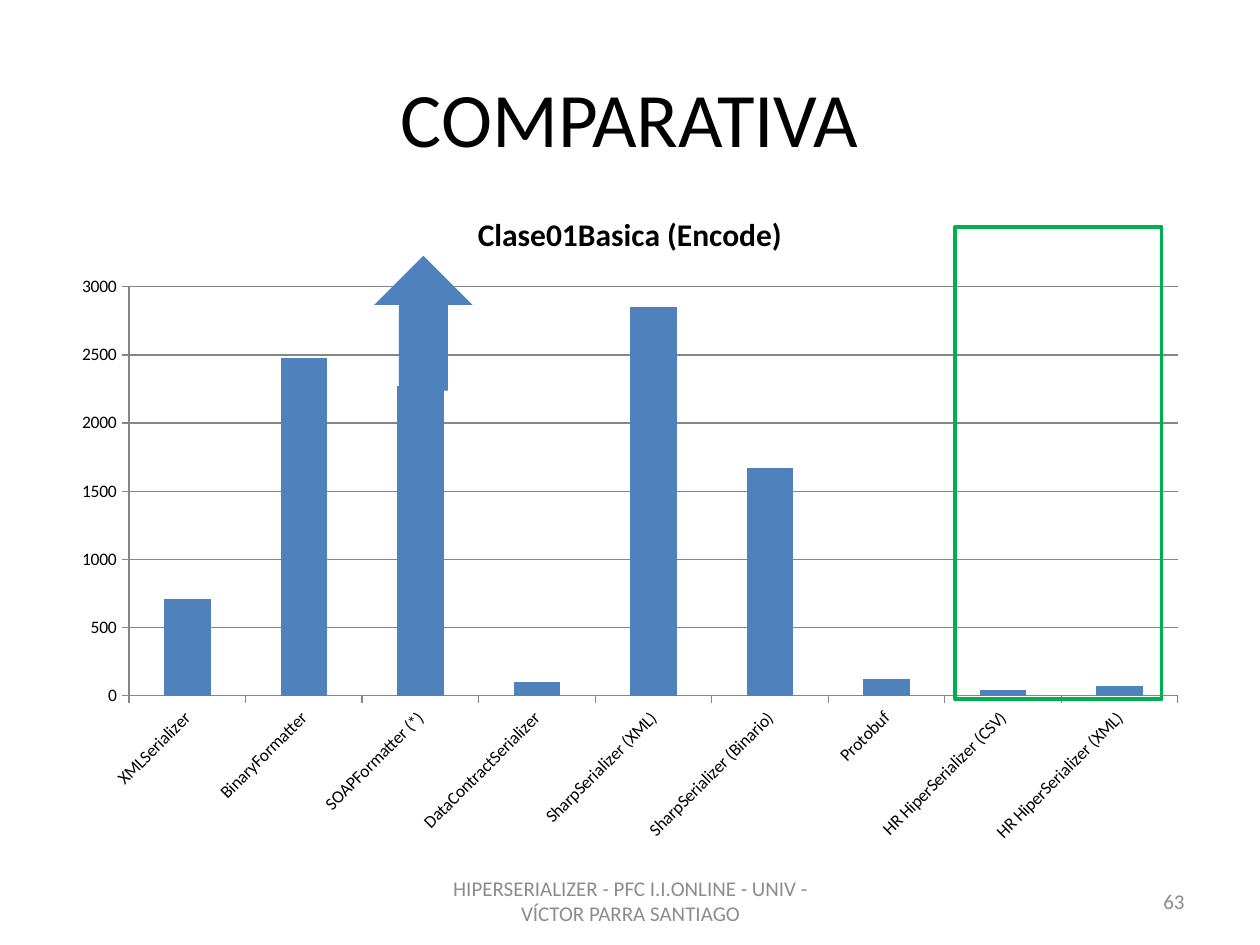
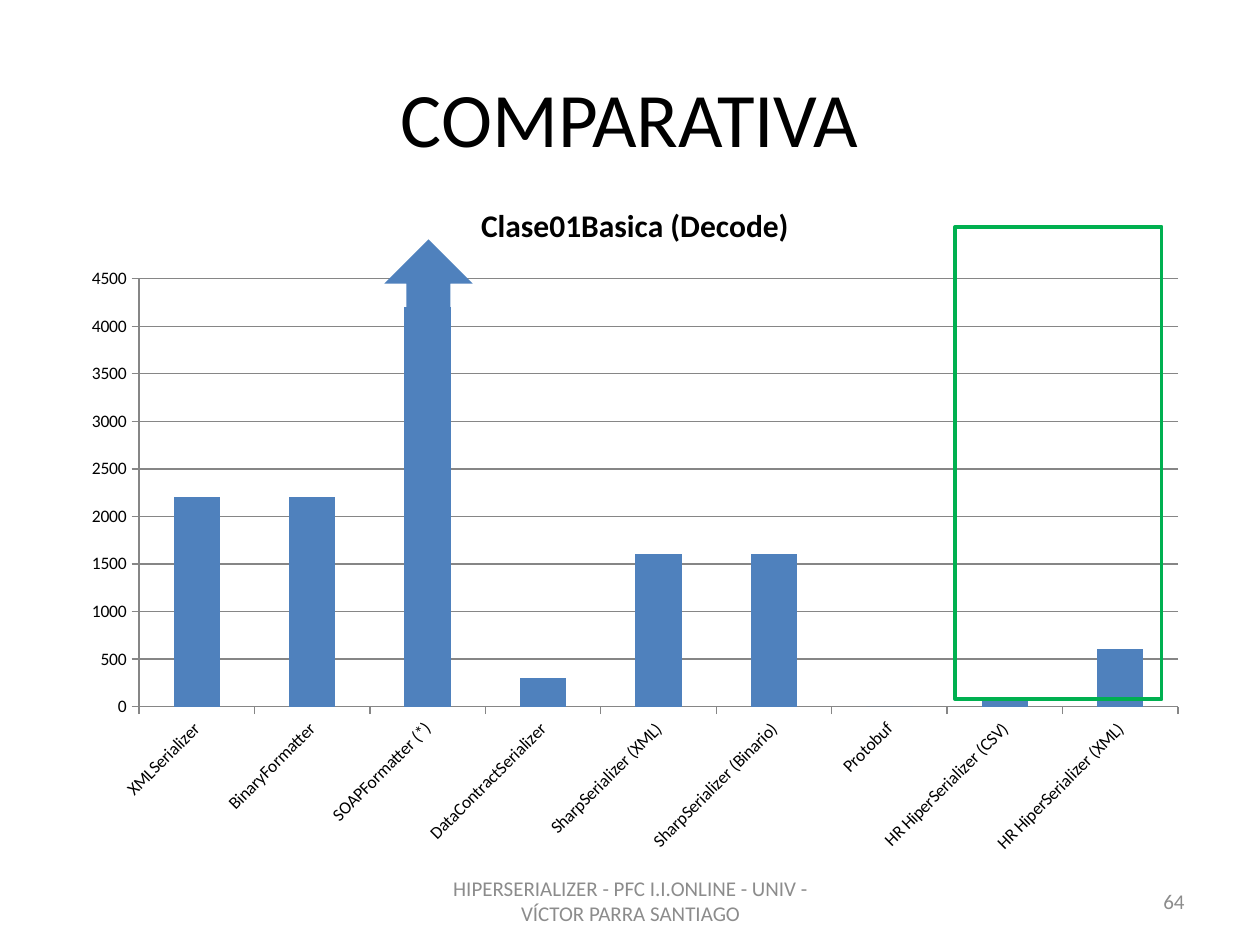
from pptx import Presentation
from pptx.chart.data import CategoryChartData
from pptx.dml.color import RGBColor
from pptx.enum.chart import XL_CHART_TYPE as CHART, XL_TICK_MARK as TICK
from pptx.enum.shapes import MSO_SHAPE as SHAPE
from pptx.enum.text import MSO_ANCHOR as ANCHOR, PP_ALIGN as ALIGN
from pptx.util import Pt

PX = 9144
FONT = "Calibri"
BLACK = RGBColor(0x00, 0x00, 0x00)
GRAY = RGBColor(0x8C, 0x8C, 0x8C)
AXIS = RGBColor(0x86, 0x86, 0x86)
BLUE = RGBColor(0x4F, 0x81, 0xBD)
GREEN = RGBColor(0x00, 0xB0, 0x50)

FOOTER = "HIPERSERIALIZER - PFC I.I.ONLINE - UNIV - VÍCTOR PARRA SANTIAGO"
SERIALIZERS = [
    "XMLSerializer", "BinaryFormatter", "SOAPFormatter (*)",
    "DataContractSerializer", "SharpSerializer (XML)",
    "SharpSerializer (Binario)", "Protobuf",
    "HR HiperSerializer (CSV)", "HR HiperSerializer (XML)",
]
SLIDES = [
    (63, "Clase01Basica (Encode)", 3000,
     [710, 2480, 2270, 100, 2850, 1670, 120, 40, 70],
     (47, 148, 906, 531), (297, 203, 78, 107)),
    (64, "Clase01Basica (Decode)", 4500,
     [2200, 2200, 4200, 300, 1600, 1600, 0, 100, 600],
     (55, 141, 898, 547), (305, 190, 70, 107)),
]


def box(*sides):
    return [side * PX for side in sides]


def put_text(tf, text, size=12, color=GRAY, align=ALIGN.CENTER, bold=False):
    tf.word_wrap = True
    tf.vertical_anchor = ANCHOR.MIDDLE
    p = tf.paragraphs[0]
    p.alignment = align
    r = p.add_run()
    r.text = text
    r.font.name = FONT
    r.font.size = Pt(size)
    r.font.bold = bold
    r.font.color.rgb = color


prs = Presentation()
prs.slide_width, prs.slide_height = box(1000, 750)

for number, name, top_value, values, chart_box, arrow_box in SLIDES:
    s = prs.slides.add_slide(prs.slide_layouts[5])
    title = s.shapes.title
    title.left, title.top, title.width, title.height = box(50, 30, 900, 125)
    put_text(title.text_frame, "COMPARATIVA", size=44, color=BLACK)

    footer = s.shapes.add_textbox(*box(342, 695, 317, 40))
    put_text(footer.text_frame, FOOTER)
    page = s.shapes.add_textbox(*box(717, 695, 233, 40))
    put_text(page.text_frame, str(number), align=ALIGN.RIGHT)

    data = CategoryChartData()
    data.categories = SERIALIZERS
    data.add_series(name, values)
    chart = s.shapes.add_chart(
        CHART.COLUMN_CLUSTERED, *box(*chart_box), data).chart
    chart.font.name = FONT
    chart.font.size = Pt(10)
    chart.font.color.rgb = BLACK
    chart.has_legend = False
    chart.has_title = True
    put_text(chart.chart_title.text_frame, name, size=18, color=BLACK, bold=True)

    plot = chart.plots[0]
    plot.gap_width = 150
    plot.vary_by_categories = False
    fill = plot.series[0].format.fill
    fill.solid()
    fill.fore_color.rgb = BLUE

    cat_axis, val_axis = chart.category_axis, chart.value_axis
    cat_axis.tick_labels.font.size = Pt(10)
    cat_axis._element.txPr.bodyPr.set("rot", "-2700000")
    val_axis.minimum_scale = 0
    val_axis.maximum_scale = top_value
    val_axis.major_unit = 500
    val_axis.has_major_gridlines = True
    for axis in (cat_axis, val_axis):
        axis.major_tick_mark = TICK.OUTSIDE
    for line in (cat_axis.format.line, val_axis.format.line,
                 val_axis.major_gridlines.format.line):
        line.color.rgb = AXIS
        line.width = Pt(0.75)

    frame = s.shapes.add_shape(SHAPE.RECTANGLE, *box(758, 180, 164, 375))
    frame.shadow.inherit = False
    frame.fill.background()
    frame.line.color.rgb = GREEN
    frame.line.width = Pt(2)

    arrow = s.shapes.add_shape(SHAPE.DOWN_ARROW, *box(*arrow_box))
    arrow.shadow.inherit = False
    arrow.rotation = 180
    arrow.fill.solid()
    arrow.fill.fore_color.rgb = BLUE
    arrow.line.fill.background()

prs.save("out.pptx")
